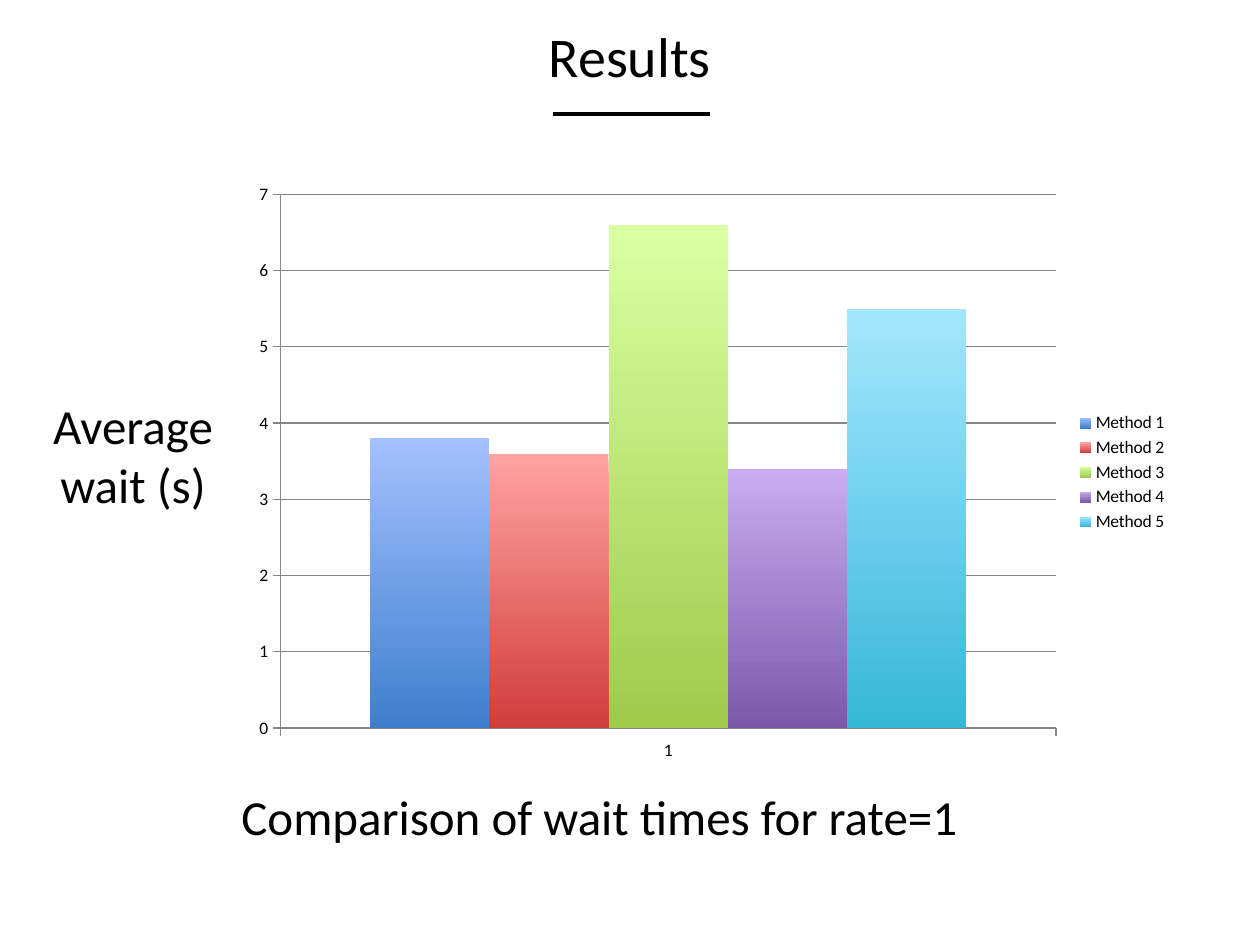
"""Build the results slide comparing average wait times of five methods."""
from pptx import Presentation
from pptx.chart.data import CategoryChartData
from pptx.dml.color import RGBColor
from pptx.enum.chart import XL_CHART_TYPE, XL_LEGEND_POSITION, XL_TICK_MARK
from pptx.enum.shapes import MSO_CONNECTOR
from pptx.enum.text import PP_ALIGN
from pptx.oxml.ns import qn
from pptx.util import Pt
from lxml.etree import SubElement


def color(value):
    return RGBColor.from_string(value)


def add_text(slide, lines, left, top, width, height, size):
    text_frame = slide.shapes.add_textbox(Pt(left), Pt(top), Pt(width), Pt(height)).text_frame
    text_frame.word_wrap = True
    text_frame.text = "\n".join(lines)
    for paragraph in text_frame.paragraphs:
        paragraph.alignment = PP_ALIGN.CENTER
        paragraph.font.name = "Calibri"
        paragraph.font.size = Pt(size)
        paragraph.font.color.rgb = color("000000")


presentation = Presentation()
presentation.slide_width = Pt(720)
presentation.slide_height = Pt(540)
slide = presentation.slides.add_slide(presentation.slide_layouts[6])

add_text(slide, ["Results"], 0, 8.64, 720, 46, 32)

underline = slide.shapes.add_connector(MSO_CONNECTOR.STRAIGHT, Pt(316), Pt(65), Pt(405.5), Pt(65))
underline.line.color.rgb = color("000000")
underline.line.width = Pt(2)
SubElement(underline._element.spPr, qn("a:effectLst"))

add_text(slide, ["Average", "wait (s)"], 17.3, 222.5, 117.4, 75, 28)

methods = [
    ("Method 1", 3.8, "A3C0FF", "3E7FCD"),
    ("Method 2", 3.6, "FFA3A1", "D03E3B"),
    ("Method 3", 6.6, "DAFFA2", "9FCA4A"),
    ("Method 4", 3.4, "C8AEF0", "7D58A8"),
    ("Method 5", 5.5, "A3E7FF", "37B6D8"),
]
chart_data = CategoryChartData()
chart_data.categories = ["1"]
for name, wait, _, _ in methods:
    chart_data.add_series(name, [wait])

chart = slide.shapes.add_chart(
    XL_CHART_TYPE.COLUMN_CLUSTERED, Pt(137.5), Pt(98.6), Pt(537), Pt(342.7), chart_data
).chart
chart.has_title = False
chart.font.name = "Calibri"
chart.font.size = Pt(10)
chart.font.color.rgb = color("000000")
chart.has_legend = True
chart.legend.position = XL_LEGEND_POSITION.RIGHT
chart.legend.include_in_layout = False

plot = chart.plots[0]
plot.vary_by_categories = False
plot.gap_width = 150
for series, (_, _, light, dark) in zip(plot.series, methods):
    fill = series.format.fill
    fill.gradient()
    fill.gradient_angle = 270
    for stop, position, shade in zip(fill.gradient_stops, (0, 1), (light, dark)):
        stop.position = position
        stop.color.rgb = color(shade)

value_axis = chart.value_axis
value_axis.minimum_scale = 0
value_axis.maximum_scale = 7
value_axis.major_unit = 1
value_axis.has_major_gridlines = True
for axis in (chart.category_axis, value_axis):
    axis.major_tick_mark = XL_TICK_MARK.OUTSIDE
for lined in (chart.category_axis, value_axis, value_axis.major_gridlines):
    lined.format.line.color.rgb = color("868686")
    lined.format.line.width = Pt(0.75)

add_text(slide, ["Comparison of wait times for rate=1"], 52.6, 445.7, 579.6, 41, 28)

presentation.save("out.pptx")
